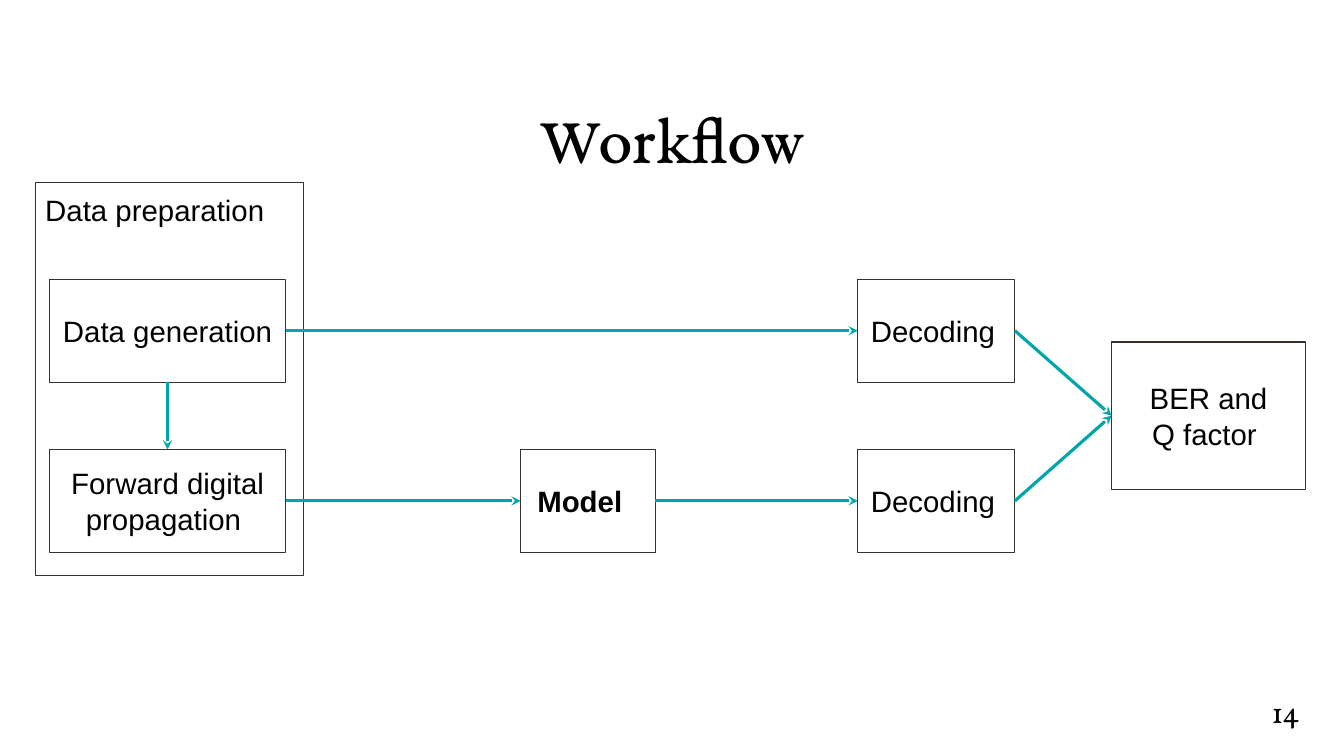
from dataclasses import dataclass

from lxml import etree
from pptx import Presentation
from pptx.dml.color import RGBColor
from pptx.enum.shapes import MSO_CONNECTOR, MSO_SHAPE
from pptx.enum.text import MSO_ANCHOR, MSO_AUTO_SIZE, PP_ALIGN
from pptx.oxml.ns import qn
from pptx.util import Pt

STRAIGHT = MSO_CONNECTOR.STRAIGHT
RECTANGLE = MSO_SHAPE.RECTANGLE
TOP, MIDDLE = MSO_ANCHOR.TOP, MSO_ANCHOR.MIDDLE
LEFT_ALIGN, CENTER = PP_ALIGN.LEFT, PP_ALIGN.CENTER
GROW = MSO_AUTO_SIZE.SHAPE_TO_FIT_TEXT

COLORS = {"text": "000000", "outline": "39302A", "arrow": "00A5AB"}
SANS, SERIF = "Arial", "EB Garamond"
PAGE_WIDTH, PAGE_HEIGHT = 960, 540
UPPER_ROW, LOWER_ROW, ROW_HEIGHT = 199.5, 321, 73.5
DATA_LEFT, DATA_WIDTH = 35.3, 168.8
DECODING_LEFT, DECODING_WIDTH = 612.7, 112.3
SIDE_TOP, SIDE_LEFT, SIDE_BOTTOM, SIDE_RIGHT = range(4)


@dataclass
class Step:
    name: str
    text: str
    left: float
    top: float
    width: float
    height: float = ROW_HEIGHT
    bold: bool = False
    right_inset: float = 7.2
    anchor: int = MIDDLE
    align: int = CENTER


@dataclass
class Arrow:
    start: str
    start_side: int
    end: str
    end_side: int


STEPS = [
    Step("generation", "Data generation", DATA_LEFT, UPPER_ROW, DATA_WIDTH),
    Step("propagation", "Forward digital propagation ", DATA_LEFT, LOWER_ROW, DATA_WIDTH),
    Step("model", "Model", 371.9, LOWER_ROW, 96, bold=True, right_inset=18.7),
    Step("upper decoding", "Decoding", DECODING_LEFT, UPPER_ROW, DECODING_WIDTH,
         right_inset=12),
    Step("lower decoding", "Decoding", DECODING_LEFT, LOWER_ROW, DECODING_WIDTH,
         right_inset=12),
    Step("metrics", "BER and\nQ factor ", 794, 244.3, 138.5, 105.2),
    Step("preparation", "Data preparation", 25.2, 130.3, 191.6, 280.8,
         anchor=TOP, align=LEFT_ALIGN),
]

ARROWS = [
    Arrow("generation", SIDE_RIGHT, "upper decoding", SIDE_LEFT),
    Arrow("generation", SIDE_BOTTOM, "propagation", SIDE_TOP),
    Arrow("propagation", SIDE_RIGHT, "model", SIDE_LEFT),
    Arrow("model", SIDE_RIGHT, "lower decoding", SIDE_LEFT),
    Arrow("upper decoding", SIDE_RIGHT, "metrics", SIDE_LEFT),
    Arrow("lower decoding", SIDE_RIGHT, "metrics", SIDE_LEFT),
]


def write_text(box, text: str, *, size: float, font: str, bold: bool = False,
               align: int = CENTER, anchor: int = MIDDLE,
               insets: tuple = (7.2, 3.6, 7.2, 3.6)) -> None:
    """Fill a shape with text, one paragraph a line."""
    frame = box.text_frame
    frame.word_wrap = True
    frame.vertical_anchor = anchor
    (frame.margin_left, frame.margin_top,
     frame.margin_right, frame.margin_bottom) = map(Pt, insets)
    frame.text = text
    for para in frame.paragraphs:
        para.alignment = align
        for span in para.runs:
            span.font.size = Pt(size)
            span.font.name = font
            span.font.bold = bold
            span.font.color.rgb = RGBColor.from_string(COLORS["text"])


def draw_step(page, step: Step):
    """Draw an outlined box and return it."""
    box = page.shapes.add_shape(RECTANGLE, Pt(step.left), Pt(step.top),
                                Pt(step.width), Pt(step.height))
    box.shadow.inherit = False
    box.fill.background()
    box.line.color.rgb = RGBColor.from_string(COLORS["outline"])
    box.line.width = Pt(0.75)
    write_text(box, step.text, size=21, font=SANS, bold=step.bold,
               align=step.align, anchor=step.anchor,
               insets=(7.2, 7.2, step.right_inset, 7.2))
    return box


def draw_arrow(page, arrow: Arrow, boxes: dict) -> None:
    """Join two boxes with a stealth arrow."""
    line = page.shapes.add_connector(STRAIGHT, 0, 0, 0, 0)
    line.begin_connect(boxes[arrow.start], arrow.start_side)
    line.end_connect(boxes[arrow.end], arrow.end_side)
    line.line.color.rgb = RGBColor.from_string(COLORS["arrow"])
    line.line.width = Pt(2.25)
    properties = line.line._get_or_add_ln()
    etree.SubElement(properties, qn("a:tailEnd"), type="stealth")
    etree.SubElement(properties.getparent(), qn("a:effectLst"))


def main() -> None:
    deck = Presentation()
    deck.slide_width, deck.slide_height = Pt(PAGE_WIDTH), Pt(PAGE_HEIGHT)
    page = deck.slides.add_slide(deck.slide_layouts[5])

    # Title
    title = page.shapes.title
    title.left, title.top = Pt(0), Pt(65)
    title.width, title.height = Pt(PAGE_WIDTH), Pt(65.4)
    write_text(title, "Workflow", size=48, font=SERIF, anchor=TOP)
    title.text_frame.auto_size = GROW

    # Page number
    number = page.shapes.add_textbox(Pt(877.8), Pt(474), Pt(82.2), Pt(66))
    write_text(number, "14", size=24, font=SERIF)

    # Workflow boxes and the arrows between them
    boxes = {step.name: draw_step(page, step) for step in STEPS}
    for arrow in ARROWS:
        draw_arrow(page, arrow, boxes)

    deck.save("out.pptx")


if __name__ == "__main__":
    main()
